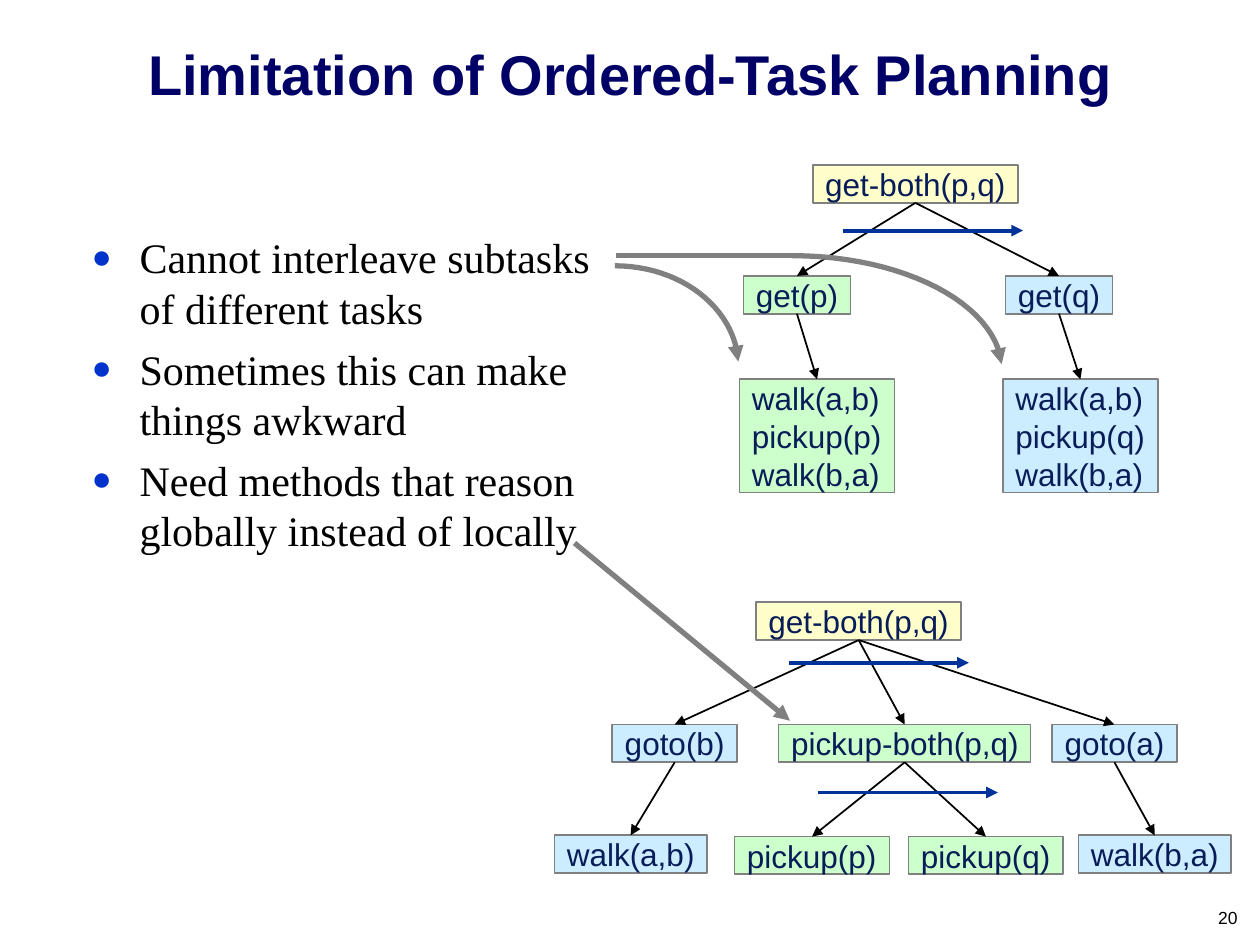
"""Build the slide on the limits of ordered-task planning."""
from dataclasses import dataclass

from lxml import etree
from pptx import Presentation
from pptx.dml.color import RGBColor
from pptx.enum.shapes import MSO_CONNECTOR, MSO_SHAPE
from pptx.enum.text import MSO_ANCHOR, MSO_AUTO_SIZE, PP_ALIGN
from pptx.oxml.ns import qn
from pptx.util import Inches, Pt

STRAIGHT = MSO_CONNECTOR.STRAIGHT
RECT = MSO_SHAPE.RECTANGLE
TOP, BOTTOM = MSO_ANCHOR.TOP, MSO_ANCHOR.BOTTOM
LEFT, CENTER, RIGHT = PP_ALIGN.LEFT, PP_ALIGN.CENTER, PP_ALIGN.RIGHT
FIT = MSO_AUTO_SIZE.SHAPE_TO_FIT_TEXT
TOP_SITE, BOTTOM_SITE = 0, 2
COLS, ROWS, CELL = 100, 75, 0.1
LINE_ROWS = 3
COLORS = {
    "title": "000066", "body": "000000", "bullet": "0033CC", "label": "081D58",
    "border": "808080", "order": "003399", "edge": "000000",
    "yellow": "FFFFCC", "green": "CCFFCC", "blue": "CCECFF",
}


@dataclass(frozen=True)
class Style:
    font: str
    size: int
    color: str
    bold: bool = False
    align: PP_ALIGN = LEFT


@dataclass(frozen=True)
class Node:
    key: str
    col: float
    row: float
    cols: float
    fill: str
    lines: tuple


@dataclass(frozen=True)
class Arrow:
    start: tuple
    end: tuple
    color: str
    width: float
    head: bool = True


@dataclass(frozen=True)
class Curve:
    points: tuple


TITLE = Style("Arial", 32, "title", True, CENTER)
BODY = Style("Times New Roman", 24, "body")
LABEL = Style("Arial", 18, "label")
NUMBER = Style("Arial", 10, "body", align=RIGHT)

BULLETS = (
    "Cannot interleave subtasks of different tasks",
    "Sometimes this can make things awkward",
    "Need methods that reason globally instead of locally",
)
NODES = (
    Node("both", 64.5, 13.1, 16.3, "yellow", ("get-both(p,q)",)),
    Node("get p", 59, 21.9, 8.5, "green", ("get(p)",)),
    Node("get q", 79.8, 21.9, 8.5, "blue", ("get(q)",)),
    Node("steps p", 58.7, 30.1, 12.3, "green", ("walk(a,b)", "pickup(p)", "walk(b,a)")),
    Node("steps q", 79.6, 30.1, 12.3, "blue", ("walk(a,b)", "pickup(q)", "walk(b,a)")),
    Node("global", 60, 47.8, 16.3, "yellow", ("get-both(p,q)",)),
    Node("goto b", 48.6, 57.5, 9.9, "blue", ("goto(b)",)),
    Node("pickup both", 61.8, 57.5, 20, "green", ("pickup-both(p,q)",)),
    Node("goto a", 83.5, 57.5, 9.9, "blue", ("goto(a)",)),
    Node("walk ab", 44, 66.3, 12.1, "blue", ("walk(a,b)",)),
    Node("pickup p", 58.3, 66.4, 12.3, "green", ("pickup(p)",)),
    Node("pickup q", 72.1, 66.4, 12.3, "green", ("pickup(q)",)),
    Node("walk ba", 85.6, 66.3, 12.1, "blue", ("walk(b,a)",)),
)
CHILDREN = {
    "both": ("get p", "get q"),
    "get p": ("steps p",),
    "get q": ("steps q",),
    "global": ("goto b", "pickup both", "goto a"),
    "goto b": ("walk ab",),
    "pickup both": ("pickup p", "pickup q"),
    "goto a": ("walk ba",),
}
CURVES = (
    Curve(((48.8, 21.1), (54, 21.1), (58.3, 24.4), (58.6, 28.7))),
    Curve(((62.9, 20.3), (71.7, 20.3), (79, 24.1), (79.5, 28.9))),
)
ORDER_COLS = 14.3
ARROWS = (
    Arrow((48.9, 20.3), (62.9, 20.3), "border", 3, False),
    Arrow((45.6, 43.1), (62.7, 57.2), "border", 3),
) + tuple(
    Arrow((col, row), (col + ORDER_COLS, row), "order", 2.25)
    for col, row in ((66.9, 18.3), (62.6, 52.6), (64.9, 62.9))
)


def grid(*cells: float) -> list:
    """Turn grid cells into lengths."""
    return [Inches(c * CELL) for c in cells]


def rgb(name: str) -> RGBColor:
    """Look up a named colour."""
    return RGBColor.from_string(COLORS[name])


def write(tf, lines: tuple, style: Style, anchor=TOP, pad: float = 0.05,
          right: float = 0.1) -> None:
    """Fill a text frame with one paragraph per line."""
    tf.vertical_anchor = anchor
    tf.margin_left, tf.margin_right = Inches(0.1), Inches(right)
    tf.margin_top = tf.margin_bottom = Inches(pad)
    for i, line in enumerate(lines):
        p = tf.add_paragraph() if i else tf.paragraphs[0]
        p.alignment = style.align
        r = p.add_run()
        r.text = line
        r.font.name, r.font.size, r.font.bold = style.font, Pt(style.size), style.bold
        r.font.color.rgb = rgb(style.color)


def add_text(s, box: tuple, lines: tuple, style: Style, anchor=TOP):
    """Add a wrapped text box and return its frame."""
    tf = s.shapes.add_textbox(*grid(*box)).text_frame
    tf.word_wrap = True
    write(tf, lines, style, anchor)
    return tf


def add_bullet(p, first: bool) -> None:
    """Give a paragraph a hanging round bullet."""
    pPr = p._p.get_or_add_pPr()
    pPr.set("marL", str(Inches(0.38)))
    pPr.set("indent", str(-Inches(0.38)))
    clr = etree.SubElement(pPr, qn("a:buClr"))
    etree.SubElement(clr, qn("a:srgbClr"), val=COLORS["bullet"])
    etree.SubElement(pPr, qn("a:buSzPct"), val="80000")
    etree.SubElement(pPr, qn("a:buFont"), typeface=BODY.font)
    etree.SubElement(pPr, qn("a:buChar"), char="●")
    if not first:
        p.space_before = Pt(6)


def add_node(s, node: Node):
    """Draw a task box."""
    sp = s.shapes.add_shape(
        RECT, *grid(node.col, node.row, node.cols, LINE_ROWS * len(node.lines)))
    sp.shadow.inherit = False
    sp.fill.solid()
    sp.fill.fore_color.rgb = rgb(node.fill)
    sp.line.color.rgb = rgb("border")
    sp.line.width = Pt(1)
    write(sp.text_frame, node.lines, LABEL, pad=0, right=0)
    sp.text_frame.word_wrap = False
    sp.text_frame.auto_size = FIT
    return sp


def set_line(sp, color: str, width: float, head: bool = True) -> None:
    """Style a line and its arrowhead."""
    sp.line.color.rgb = rgb(color)
    sp.line.width = Pt(width)
    if head:
        etree.SubElement(sp.line._get_or_add_ln(), qn("a:tailEnd"), type="triangle")


def add_line(s, arrow: Arrow):
    """Draw a straight line."""
    cn = s.shapes.add_connector(STRAIGHT, *grid(*arrow.start, *arrow.end))
    set_line(cn, arrow.color, arrow.width, arrow.head)
    etree.SubElement(cn._element.spPr, qn("a:effectLst"))
    return cn


def add_curve(s, curve: Curve, steps: int = 24) -> None:
    """Draw a cubic curve with an arrowhead."""
    pts = []
    for i in range(steps + 1):
        t = i / steps
        weights = ((1 - t) ** 3, 3 * t * (1 - t) ** 2, 3 * t * t * (1 - t), t ** 3)
        pts.append(grid(*(sum(w * v for w, v in zip(weights, axis))
                          for axis in zip(*curve.points))))
    fb = s.shapes.build_freeform(*pts[0])
    fb.add_line_segments(pts[1:], close=False)
    sp = fb.convert_to_shape()
    sp.shadow.inherit = False
    sp.fill.background()
    set_line(sp, "border", 3)


def main() -> None:
    """Assemble and save the slide."""
    prs = Presentation()
    prs.slide_width, prs.slide_height = grid(COLS, ROWS)
    s = prs.slides.add_slide(prs.slide_layouts[6])
    add_text(s, (94, 71.5, 5.2, 2.6), ("20",), NUMBER)
    add_text(s, (1.7, 2.3, 96.7, 6.7), ("Limitation of Ordered-Task Planning",), TITLE, BOTTOM)
    body = add_text(s, (6.3, 17.9, 44.6, 34.2), BULLETS, BODY)
    for i, p in enumerate(body.paragraphs):
        add_bullet(p, i == 0)
    boxes = {node.key: add_node(s, node) for node in NODES}
    for parent, children in CHILDREN.items():
        for child in children:
            cn = add_line(s, Arrow((0, 0), (1, 1), "edge", 1))
            cn.begin_connect(boxes[parent], BOTTOM_SITE)
            cn.end_connect(boxes[child], TOP_SITE)
    for curve in CURVES:
        add_curve(s, curve)
    for arrow in ARROWS:
        add_line(s, arrow)
    prs.save("out.pptx")


if __name__ == "__main__":
    main()
